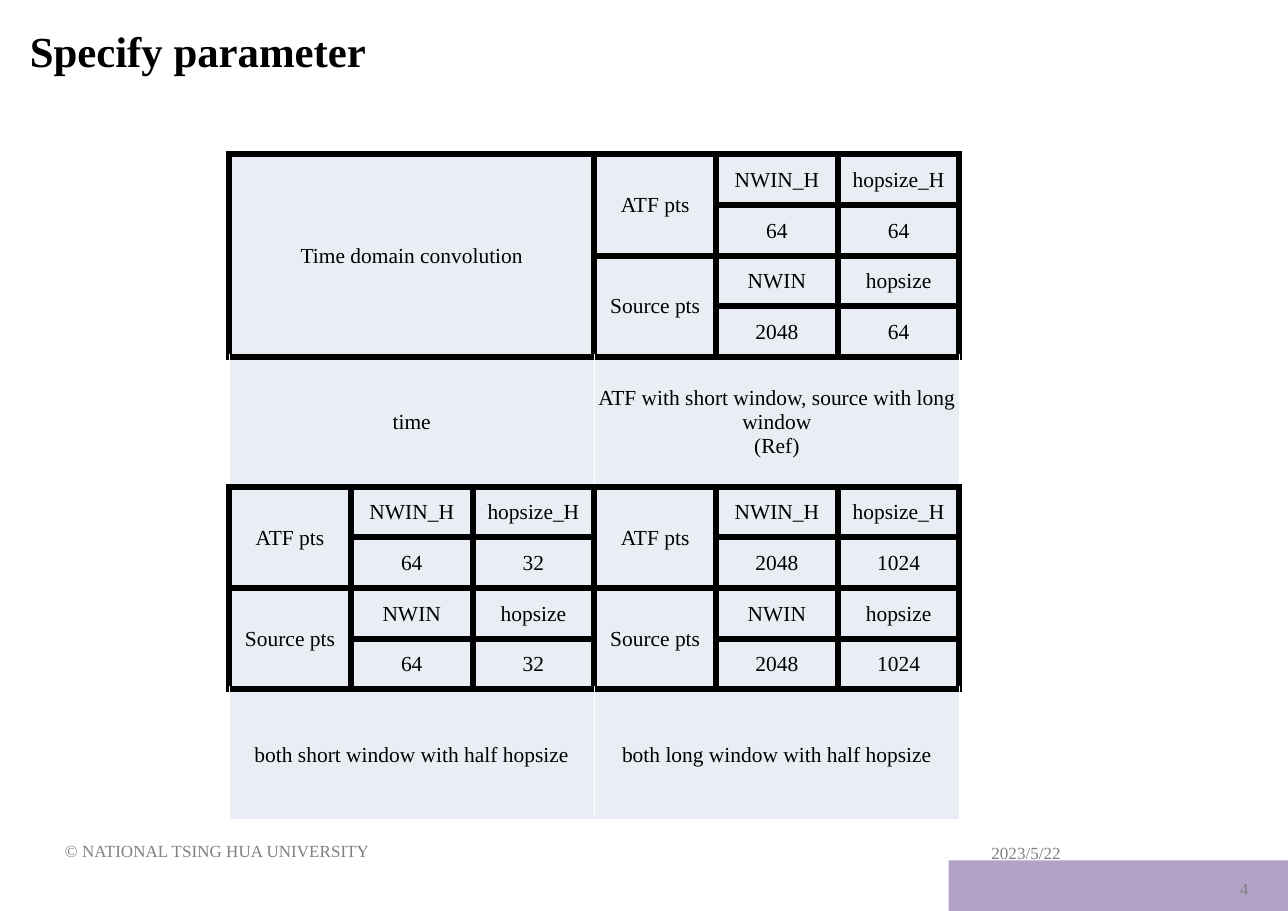
from pptx import Presentation
from pptx.dml.color import RGBColor
from pptx.enum.shapes import MSO_SHAPE
from pptx.enum.text import MSO_ANCHOR, PP_ALIGN
from pptx.oxml import parse_xml
from pptx.oxml.ns import nsdecls
from pptx.util import Inches, Pt

LEFT, MID, RIGHT = PP_ALIGN.LEFT, PP_ALIGN.CENTER, PP_ALIGN.RIGHT
CENTRE = MSO_ANCHOR.MIDDLE
RECT = MSO_SHAPE.RECTANGLE
FONT = "Times New Roman"
BLACK, WHITE, GREY = "000000", "FFFFFF", "808080"
PALE, MAUVE = "E9EDF4", "B3A2C7"

WIDE, HIGH = 11.69, 8.27
TITLE = "Specify parameter"
NOTES = [
    ("2023/5/22", 8.9, 7.55, 1.38, LEFT),
    ("© NATIONAL TSING HUA UNIVERSITY", 0.49, 7.53, 3.19, LEFT),
    ("4", 10.52, 7.87, 0.91, RIGHT),
]
NOTE_H = 0.39
GRID_X, GRID_Y = 2.08, 1.4
COL, ROW, TALL = 1.105, 0.46, 1.18
BLOCKS = [
    (0, 0, "Time domain convolution", ["time"]),
    (0, 3, [("64", "64"), ("2048", "64")],
     ["ATF with short window, source with long window", "(Ref)"]),
    (5, 0, [("64", "32"), ("64", "32")],
     ["both short window with half hopsize"]),
    (5, 3, [("2048", "1024"), ("2048", "1024")],
     ["both long window with half hopsize"]),
]
HEADS = [
    ("ATF pts", "NWIN_H", "hopsize_H"),
    ("Source pts", "NWIN", "hopsize"),
]
CAPS = (4, 9)


def paint(fill, hue):
    fill.solid()
    fill.fore_color.rgb = RGBColor.from_string(hue)


def write(frame, lines, size, hue, align, bold=False):
    frame.word_wrap = True
    frame.vertical_anchor = CENTRE
    for i, line in enumerate(lines):
        para = frame.add_paragraph() if i else frame.paragraphs[0]
        para.alignment = align
        run = para.add_run()
        run.text = line
        font = run.font
        font.name, font.size, font.bold = FONT, Pt(size), bold
        font.color.rgb = RGBColor.from_string(hue)


def edge(cell, sides):
    props = cell._tc.get_or_add_tcPr()
    for i, (side, hue, width) in enumerate(sides):
        props.insert(i, parse_xml(
            f'<a:ln{side} {nsdecls("a")} w="{Pt(width)}"><a:solidFill>'
            f'<a:srgbClr val="{hue}"/></a:solidFill></a:ln{side}>'))


def put(grid, row, col, lines, down=1, over=1):
    cell = grid.cell(row, col)
    if down * over > 1:
        cell.merge(grid.cell(row + down - 1, col + over - 1))
    write(cell.text_frame, lines, 14, BLACK, MID)
    cell.vertical_anchor = CENTRE


def style(grid):
    bold, thin = (BLACK, 4.5), (WHITE, 1)
    for i, row in enumerate(grid.rows):
        row.height = Inches(TALL if i in CAPS else ROW)
        flank = thin if i in CAPS else bold
        base = thin if i == CAPS[-1] else bold
        for cell in row.cells:
            paint(cell.fill, PALE)
            cell.margin_left = cell.margin_right = Inches(0.01)
            cell.margin_top, cell.margin_bottom = Inches(0.01), 0
            edge(cell, [("L", *flank), ("R", *flank),
                        ("T", *bold), ("B", *base)])
    for col in grid.columns:
        col.width = Inches(COL)


def fill_grid(grid):
    for top, left, body, cap in BLOCKS:
        put(grid, top + 4, left, cap, 1, 3)
        if isinstance(body, str):
            put(grid, top, left, [body], 4, 3)
            continue
        for i, (head, pair) in enumerate(zip(HEADS, body)):
            row = top + 2 * i
            put(grid, row, left, [head[0]], 2)
            for j in range(2):
                put(grid, row, left + 1 + j, [head[1 + j]])
                put(grid, row + 1, left + 1 + j, [pair[j]])


def main():
    deck = Presentation()
    deck.slide_width, deck.slide_height = Inches(WIDE), Inches(HIGH)
    slide = deck.slides.add_slide(deck.slide_layouts[5])
    shapes = slide.shapes

    bar = shapes.add_shape(RECT, Inches(8.61), Inches(7.81),
                           Inches(WIDE - 8.61), Inches(HIGH - 7.81))
    bar.shadow.inherit = False
    paint(bar.fill, MAUVE)
    bar.line.fill.background()

    title = shapes.title
    title.left, title.top = Inches(0.17), Inches(0.09)
    title.width, title.height = Inches(10.35), Inches(0.69)
    write(title.text_frame, [TITLE], 28, BLACK, LEFT, True)
    title.text_frame.paragraphs[0].line_spacing = Pt(36.9)

    for text, x, y, width, align in NOTES:
        box = shapes.add_textbox(Inches(x), Inches(y),
                                 Inches(width), Inches(NOTE_H))
        write(box.text_frame, [text], 11.1, GREY, align)

    grid = shapes.add_table(10, 6, Inches(GRID_X), Inches(GRID_Y),
                            Inches(6 * COL),
                            Inches(8 * ROW + 2 * TALL)).table
    grid.first_row = grid.horz_banding = False
    style(grid)
    fill_grid(grid)
    deck.save("out.pptx")


if __name__ == "__main__":
    main()
